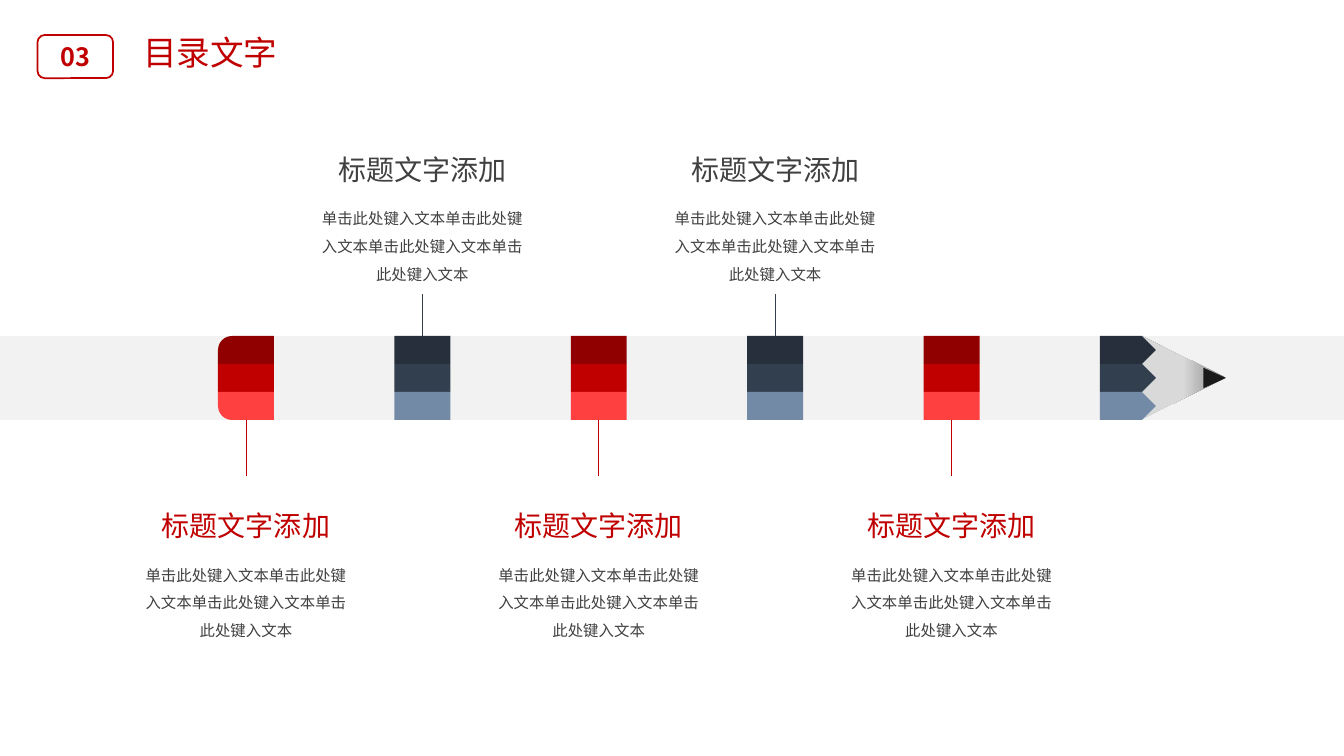
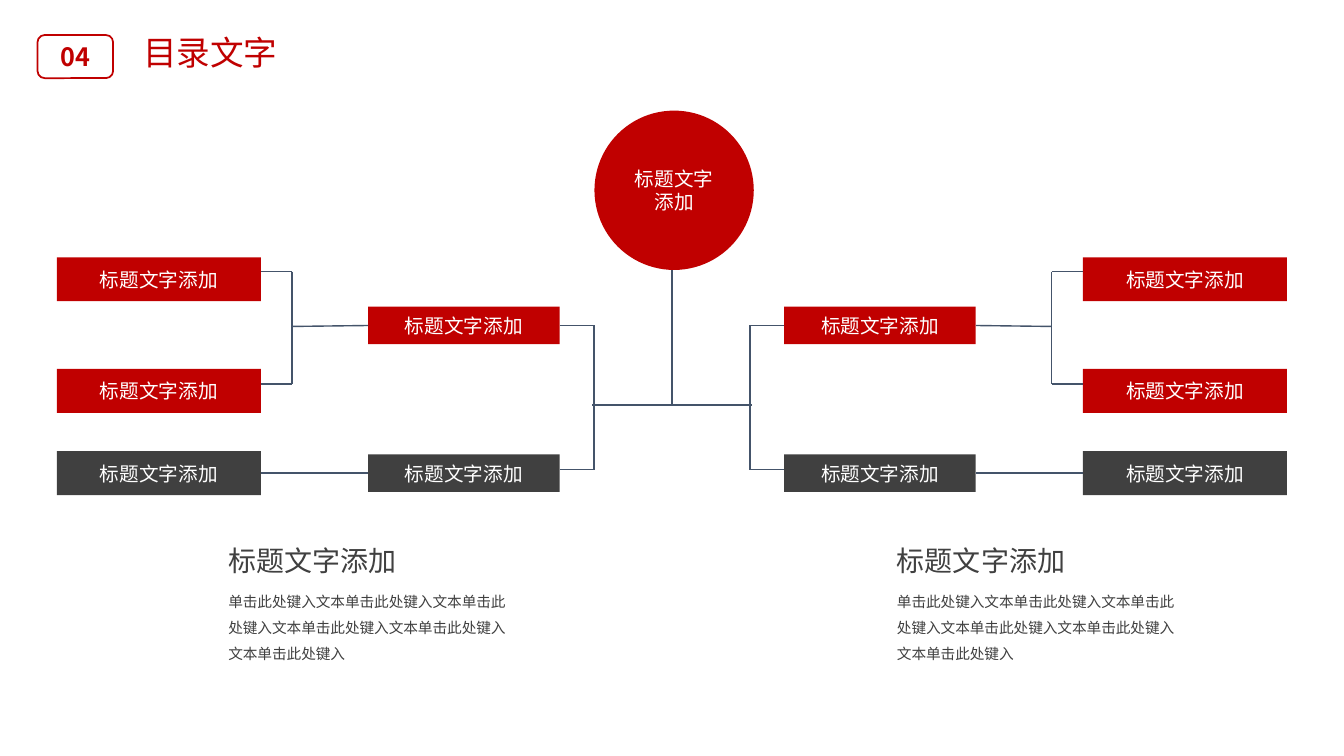
import pptx
import pptx.util
import pptx.dml.color
import pptx.enum.shapes
import pptx.enum.text
import lxml.etree
import pptx.oxml.ns

Pt = pptx.util.Pt
RGBColor = pptx.dml.color.RGBColor
SHAPE = pptx.enum.shapes.MSO_SHAPE
STRAIGHT = pptx.enum.shapes.MSO_CONNECTOR.STRAIGHT
ALIGN = pptx.enum.text.PP_ALIGN
ANCHOR = pptx.enum.text.MSO_ANCHOR
AUTO_SIZE = pptx.enum.text.MSO_AUTO_SIZE
qn = pptx.oxml.ns.qn

# Shared look
FONT = "Noto Sans CJK SC"
WIDTH, HEIGHT = 960, 540
WHITE = RGBColor(0xFF, 0xFF, 0xFF)
RED = RGBColor(0xC0, 0x00, 0x00)
DARK_RED = RGBColor(0x90, 0x00, 0x00)
LIGHT_RED = RGBColor(0xFF, 0x40, 0x40)
SLATE = RGBColor(0x32, 0x3F, 0x4F)
DARK_SLATE = RGBColor(0x26, 0x2F, 0x3B)
LIGHT_SLATE = RGBColor(0x73, 0x8A, 0xA6)
LINE_BLUE = RGBColor(0x44, 0x54, 0x6A)
GRAY_TEXT = RGBColor(0x40, 0x40, 0x40)
BAND_GRAY = RGBColor(0xF2, 0xF2, 0xF2)
WOOD_LIGHT = RGBColor(0xD9, 0xD9, 0xD9)
WOOD_DARK = RGBColor(0x80, 0x80, 0x80)
LEAD = RGBColor(0x1A, 0x1A, 0x1A)
RED_STRIPES = (DARK_RED, RED, LIGHT_RED)
SLATE_STRIPES = (DARK_SLATE, SLATE, LIGHT_SLATE)

# Content
PAGE_TITLE = "目录文字"
HEADING = "标题文字添加"
PENCIL_TEXT = "单击此处键入文本单击此处键入文本单击此处键入文本单击此处键入文本"
TREE_TEXT = "单击此处键入文本单击此处键入文本单击此处键入文本单击此处键入文本单击此处键入文本单击此处键入"
PENCIL_STEPS = [  # heading, text, text is above the pencil
    (HEADING, PENCIL_TEXT, False),
    (HEADING, PENCIL_TEXT, True),
    (HEADING, PENCIL_TEXT, False),
    (HEADING, PENCIL_TEXT, True),
    (HEADING, PENCIL_TEXT, False),
]
TREE_ROOT = HEADING
INNER_BOXES = [(HEADING, 232.5, RED), (HEADING, 338, GRAY_TEXT)]  # text, middle, fill
OUTER_BOXES = [(HEADING, 199.5, RED), (HEADING, 279.2, RED), (HEADING, 338, GRAY_TEXT)]
TREE_CAPTIONS = [(156, HEADING, TREE_TEXT), (633.6, HEADING, TREE_TEXT)]  # left, heading, text


def write_text(shape, text, size, color, bold=False, align=ALIGN.CENTER,
               anchor=ANCHOR.MIDDLE, line_spacing=None):
    frame = shape.text_frame
    frame.word_wrap = True
    frame.vertical_anchor = anchor
    paragraph = frame.paragraphs[0]
    paragraph.alignment = align
    if line_spacing:
        paragraph.line_spacing = line_spacing
    run = paragraph.add_run()
    run.text = text
    run.font.name = FONT
    run.font.size = Pt(size)
    run.font.bold = bold
    run.font.color.rgb = color
    east_asian = lxml.etree.SubElement(run._r.get_or_add_rPr(), qn("a:ea"))
    east_asian.set("typeface", FONT)


def add_text(slide, box, text, size, color, **text_format):
    shape = slide.shapes.add_textbox(*map(Pt, box))
    write_text(shape, text, size, color, anchor=ANCHOR.TOP, **text_format)
    shape.text_frame.auto_size = AUTO_SIZE.SHAPE_TO_FIT_TEXT


def add_shape(slide, kind, box, fill=None, rotation=0):
    shape = slide.shapes.add_shape(kind, *map(Pt, box))
    shape.shadow.inherit = False
    shape.rotation = rotation
    shape.line.fill.background()
    if fill is None:
        shape.fill.background()
    else:
        shape.fill.solid()
        shape.fill.fore_color.rgb = fill
    return shape


def add_line(slide, start, end, color, width, start_at=None, end_at=None):
    """start_at and end_at are optional (shape, side) pairs to join."""
    line = slide.shapes.add_connector(STRAIGHT, *map(Pt, (*start, *end)))
    line.line.color.rgb = color
    line.line.width = Pt(width)
    lxml.etree.SubElement(line._element.spPr, qn("a:effectLst"))
    if start_at:
        line.begin_connect(*start_at)
    if end_at:
        line.end_connect(*end_at)


def add_page(presentation, number):
    slide = presentation.slides.add_slide(presentation.slide_layouts[5])
    title = slide.shapes.title
    title.left, title.top, title.width, title.height = map(Pt, (95, 19.5, 120, 36))
    write_text(title, PAGE_TITLE, 24, RED, align=ALIGN.LEFT)
    title.text_frame.auto_size = AUTO_SIZE.NONE
    badge = add_shape(slide, SHAPE.ROUNDED_RECTANGLE, (26.8, 25, 54, 30.8))
    badge.line.color.rgb = RED
    badge.line.width = Pt(1.25)
    write_text(badge, number, 18, RED, bold=True)
    return slide


def add_pencil_slide(presentation):
    slide = add_page(presentation, "03")
    first_left, pitch, block_width = 155.7, 126, 40
    band_top, stripe_height = 240, 20
    band_bottom = band_top + 3 * stripe_height
    add_shape(slide, SHAPE.RECTANGLE, (0, band_top, WIDTH, band_bottom - band_top), BAND_GRAY)

    # Pencil point
    wood = add_shape(slide, SHAPE.ISOSCELES_TRIANGLE, (815, 239.2, 60, 61), WOOD_LIGHT, 90)
    wood.fill.gradient()
    wood.fill.gradient_angle = 270
    for stop, color, position in zip(wood.fill.gradient_stops, (WOOD_DARK, WOOD_LIGHT), (0, 0.5)):
        stop.color.rgb = color
        stop.position = position
    add_shape(slide, SHAPE.ISOSCELES_TRIANGLE, (860.3, 262, 14.6, 16), LEAD, 90)
    tip_left = first_left + len(PENCIL_STEPS) * pitch
    for row, color in enumerate(SLATE_STRIPES):
        add_shape(slide, SHAPE.PENTAGON,
                  (tip_left, band_top + row * stripe_height, block_width, stripe_height), color)

    # Striped blocks with their captions
    for index, (heading, text, above) in enumerate(PENCIL_STEPS):
        left = first_left + index * pitch
        center = left + block_width / 2
        colors = SLATE_STRIPES if above else RED_STRIPES
        stripes = []
        for row, color in enumerate(colors):
            top = band_top + row * stripe_height
            box = (left, top, block_width, stripe_height)
            if index == 0 and row != 1:  # rounded eraser end
                rotation = 270 if row == 0 else 180
                if row == 0:
                    box = (center - stripe_height / 2, top + stripe_height / 2 - block_width / 2,
                           stripe_height, block_width)
                stripe = add_shape(slide, SHAPE.ROUND_1_RECTANGLE, box, color, rotation)
                stripe.adjustments[0] = 0.5
            else:
                stripe = add_shape(slide, SHAPE.RECTANGLE, box, color)
            stripes.append(stripe)

        edge, end = (band_top, 210) if above else (band_bottom, 340)
        joined = (stripes[0], 0) if above else (stripes[-1], 2)
        add_line(slide, (center, edge), (center, end), colors[1], 0.5,
                 start_at=joined if index else None)
        caption_top = 105.3 if above else 360
        caption_left = center - 81
        add_text(slide, (caption_left, caption_top + 34, 162, 67), text, 11, GRAY_TEXT,
                 line_spacing=1.5)
        add_text(slide, (caption_left, caption_top, 162, 31.5), heading, 20,
                 GRAY_TEXT if above else RED)


def add_tree_slide(presentation):
    slide = add_page(presentation, "04")
    outer_left, outer_width, outer_height = 40.7, 145.7, 31.4
    inner_left, inner_width, inner_height = 263, 136.8, 26.8
    outer_right, inner_right = outer_left + outer_width, inner_left + inner_width
    outer_fork, inner_fork = 208.7, 424.2
    fork_top, fork_bottom, crossbar = 194, 274.3, 289.4
    trunk_bottom = 335.5
    red_middle = INNER_BOXES[0][1]

    # Trunk and root
    add_line(slide, (WIDTH / 2, 190), (WIDTH / 2, crossbar), LINE_BLUE, 1)
    add_line(slide, (inner_fork - 1, crossbar), (WIDTH - inner_fork + 1, crossbar), LINE_BLUE, 1)
    root = add_shape(slide, SHAPE.OVAL, (424.6, 79, 113.8, 113.8), RED)
    write_text(root, TREE_ROOT, 14, WHITE)

    # The two branches mirror each other
    for mirrored in (False, True):
        def flip(x):
            return WIDTH - x if mirrored else x

        def add_boxes(boxes, left, width, height):
            shapes = []
            for text, middle, fill in boxes:
                box_left = WIDTH - left - width if mirrored else left
                shape = add_shape(slide, SHAPE.RECTANGLE,
                                  (box_left, middle - height / 2, width, height), fill)
                write_text(shape, text, 14, WHITE)
                shapes.append(shape)
            return shapes

        def link(start, end, **joins):
            add_line(slide, (flip(start[0]), start[1]), (flip(end[0]), end[1]),
                     LINE_BLUE, 1, **joins)

        outward, inward = (3, 1) if mirrored else (1, 3)
        outer = add_boxes(OUTER_BOXES, outer_left, outer_width, outer_height)
        inner = add_boxes(INNER_BOXES, inner_left, inner_width, inner_height)

        for y in (fork_top, fork_bottom):
            link((outer_right, y), (outer_fork, y))
        link((outer_fork, fork_top), (outer_fork, fork_bottom))
        link((inner_left, red_middle), (outer_fork, 233.2), start_at=(inner[0], outward))
        link((outer_right, 338), (inner_left, 338),
             start_at=(outer[2], inward), end_at=(inner[1], outward))
        link((inner_right, red_middle), (inner_fork, red_middle), start_at=(inner[0], inward))
        link((inner_right, trunk_bottom), (inner_fork, trunk_bottom))
        link((inner_fork, red_middle), (inner_fork, trunk_bottom))

    # Captions
    for left, heading, text in TREE_CAPTIONS:
        add_text(slide, (left, 413.3, 214, 65), text, 10.5, GRAY_TEXT,
                 align=ALIGN.LEFT, line_spacing=1.5)
        add_text(slide, (left, 384.5, 153, 31.5), heading, 20, GRAY_TEXT, align=ALIGN.LEFT)


def main():
    presentation = pptx.Presentation()
    presentation.slide_width, presentation.slide_height = Pt(WIDTH), Pt(HEIGHT)
    add_pencil_slide(presentation)
    add_tree_slide(presentation)
    presentation.save("out.pptx")


if __name__ == "__main__":
    main()
